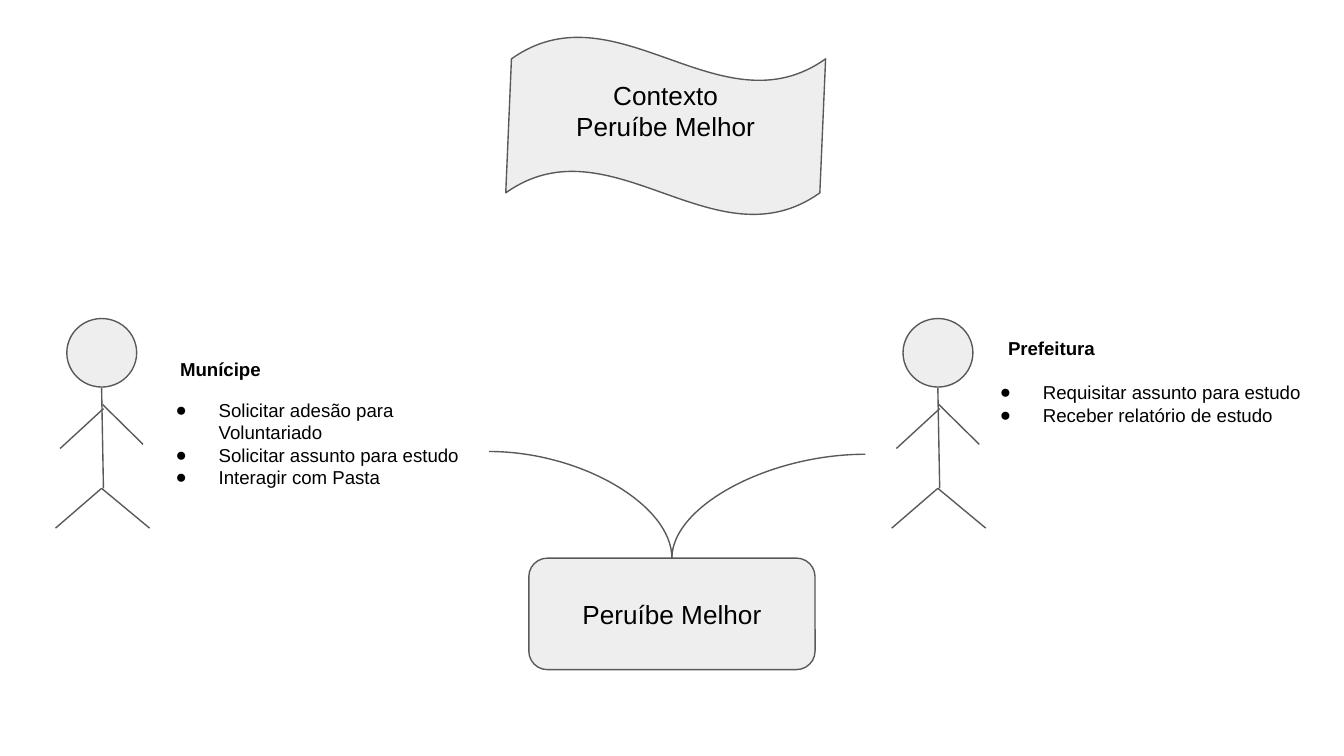
from lxml.etree import SubElement
from pptx import Presentation
from pptx.dml.color import RGBColor
from pptx.enum.shapes import MSO_CONNECTOR, MSO_SHAPE
from pptx.enum.text import MSO_ANCHOR, MSO_AUTO_SIZE, PP_ALIGN
from pptx.oxml.ns import qn
from pptx.util import Inches, Pt

CELL = Inches(0.1)  # the slide is a grid of 100 columns by 56.25 rows
COLS, ROWS = 100, 56.25
GREY, DARK, BLACK = "EEEEEE", "595959", "000000"


def grid(*cells):
    return [round(cell * CELL) for cell in cells]


def color(code):
    return RGBColor.from_string(code)


def add_form(shapes, kind, box):
    form = shapes.add_shape(kind, *grid(*box))
    form.shadow.inherit = False
    form.fill.solid()
    form.fill.fore_color.rgb = color(GREY)
    form.line.color.rgb = color(DARK)
    form.line.width = Pt(0.75)
    return form


def add_line(shapes, start, end, kind=MSO_CONNECTOR.STRAIGHT):
    line = shapes.add_connector(kind, *grid(*start, *end))
    line.line.color.rgb = color(DARK)
    line.line.width = Pt(0.75)
    SubElement(line._element.spPr, qn("a:effectLst"))
    return line


def add_curve(shapes, start, end):
    """Draw a quarter bend that leaves sideways and arrives from above."""
    curve = add_line(shapes, start, end, MSO_CONNECTOR.CURVE)
    curve._element.spPr.find(qn("a:prstGeom")).set("prst", "curvedConnector2")


def set_text(shape, lines, size, bold=False, align=PP_ALIGN.LEFT,
             anchor=MSO_ANCHOR.TOP):
    frame = shape.text_frame
    frame.text = "\n".join(lines)
    frame.word_wrap = True
    frame.auto_size = MSO_AUTO_SIZE.NONE
    frame.vertical_anchor = anchor
    frame.margin_left = frame.margin_right = CELL
    frame.margin_top = frame.margin_bottom = CELL
    for par in frame.paragraphs:
        par.alignment = align
        par.space_before = Pt(0)
        for run in par.runs:
            run.font.name = "Arial"
            run.font.size = Pt(size)
            run.font.bold = bold
            run.font.color.rgb = color(BLACK)


def set_label(form, text):
    set_text(form, [text], 14, align=PP_ALIGN.CENTER,
             anchor=MSO_ANCHOR.MIDDLE)


def place(shape, box):
    shape.left, shape.top, shape.width, shape.height = grid(*box)


def add_dots(shape):
    for par in shape.text_frame.paragraphs:
        props = par._p.get_or_add_pPr()
        props.set("marL", str(Inches(0.5)))
        props.set("indent", str(-Inches(0.32)))
        tint = SubElement(props, qn("a:buClr"))
        SubElement(tint, qn("a:srgbClr")).set("val", BLACK)
        SubElement(props, qn("a:buFont")).set("typeface", "Arial")
        SubElement(props, qn("a:buChar")).set("char", "●")


def add_banner(slide, box):
    """Draw a wave whose text sits above its middle."""
    wave = add_form(slide.shapes, MSO_SHAPE.WAVE, box)
    wave.adjustments[0] = 0.125
    wave.adjustments[1] = -0.009
    set_label(wave, "Contexto\vPeruíbe Melhor")
    wave.text_frame.margin_bottom = Inches(0.33)


def add_actor(slide, box):
    left, top, width, height = box

    def spot(across, down):
        return left + across * width, top + down * height

    shapes = slide.shapes.add_group_shape().shapes
    add_form(shapes, MSO_SHAPE.OVAL, (*spot(0.12, 0), 5.2, 5.1))
    neck, hip = (0.49, 0.33), (0.49, 0.81)
    limbs = [
        (neck, (0.51, 0.81)),
        (hip, (1, 1)), (hip, (0, 1)),
        ((0.5, 0.41), (0.93, 0.6)), ((0.51, 0.43), (0.05, 0.62)),
    ]
    for start, end in limbs:
        add_line(shapes, spot(*start), spot(*end))


def add_role(head, body, name, tasks, head_box, body_box):
    place(head, head_box)
    set_text(head, [name], 10, bold=True)
    place(body, body_box)
    set_text(body, tasks, 10)
    add_dots(body)


def add_system(slide, box, ends):
    """Draw the system box and a curve to its top from each end."""
    left, top, width, _ = box
    form = add_form(slide.shapes, MSO_SHAPE.ROUNDED_RECTANGLE, box)
    set_label(form, "Peruíbe Melhor")
    for end in ends:
        add_curve(slide.shapes, end, (left + width / 2, top))


def main():
    deck = Presentation()
    deck.slide_width, deck.slide_height = grid(COLS, ROWS)
    slide = deck.slides.add_slide(deck.slide_layouts[4])
    title, head, body, head2, body2 = slide.placeholders
    slide.shapes._spTree.remove(title._element)
    add_banner(slide, (37.63, 2.72, 23.8, 13.3))
    for left in (4.13, 66.35):
        add_actor(slide, (left, 23.7, 7, 15.6))
    add_role(head, body, "Munícipe",
             ["Solicitar adesão para Voluntariado",
              "Solicitar assunto para estudo", "Interagir com Pasta"],
             (12.4, 25.6, 13, 4.5), (10.27, 28.67, 26.2, 9.8))
    add_role(head2, body2, "Prefeitura",
             ["Requisitar assunto para estudo", "Receber relatório de estudo"],
             (74, 24.1, 14.9, 4.5), (71.6, 27.37, 28.4, 8.3))
    add_system(slide, (39.35, 41.53, 21.3, 8.3), [(36.4, 33.6), (64.4, 33.8)])
    deck.save("out.pptx")


if __name__ == "__main__":
    main()
